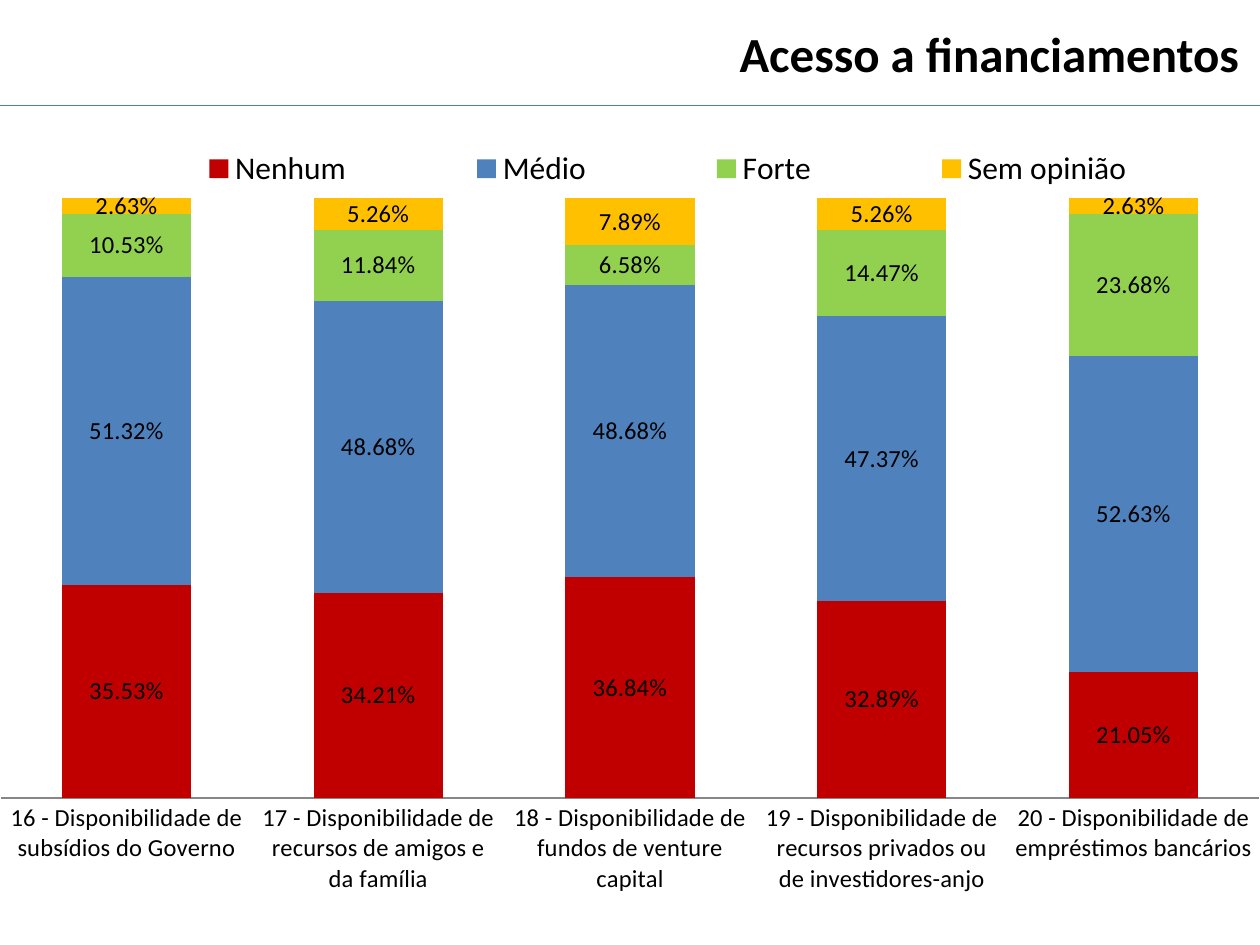
"""Build the slide on access to financing with a 100% stacked column chart."""
from pptx import Presentation, util as u
from pptx.chart.data import CategoryChartData
from pptx.dml.color import RGBColor
from pptx.enum import chart as ch, shapes, text
from pptx.oxml import parse_xml
from pptx.oxml.ns import nsdecls, qn

THEME = {
    "font": "Calibri",
    "text": RGBColor.from_string("000000"),
    "rule": RGBColor.from_string("4B7EBC"),
    "axis": RGBColor.from_string("868686"),
    "title": u.Pt(28),
    "legend": u.Pt(18),
    "label": u.Pt(14),
    "base": u.Pt(10),
}
CATEGORIES = [
    "16 - Disponibilidade de subsídios do Governo",
    "17 - Disponibilidade de recursos de amigos e da família",
    "18 - Disponibilidade de fundos de venture capital",
    "19 - Disponibilidade de recursos privados ou de investidores-anjo",
    "20 - Disponibilidade de empréstimos bancários",
]
SERIES = [
    ("Nenhum", "C00000", (0.3553, 0.3421, 0.3684, 0.3289, 0.2105)),
    ("Médio", "4F81BD", (0.5132, 0.4868, 0.4868, 0.4737, 0.5263)),
    ("Forte", "92D050", (0.1053, 0.1184, 0.0658, 0.1447, 0.2368)),
    ("Sem opinião", "FFC000", (0.0263, 0.0526, 0.0789, 0.0526, 0.0263)),
]


def style(font, size, bold=False):
    """Apply the theme font at one of its sizes."""
    values = {"name": THEME["font"], "size": THEME[size], "bold": bold}
    for key, value in values.items():
        setattr(font, key, value)
    font.color.rgb = THEME["text"]


def layout(x, y, w, h, inner=False):
    """Return a manual chart layout in fractions of the chart area."""
    target = '<c:layoutTarget val="inner"/>' if inner else ""
    modes = "".join(f'<c:{k}Mode val="edge"/>' for k in "xy")
    sizes = "".join(f'<c:{k} val="{v}"/>' for k, v in zip("xywh", (x, y, w, h)))
    return parse_xml(f'<c:layout {nsdecls("c")}><c:manualLayout>{target}{modes}{sizes}'
                     "</c:manualLayout></c:layout>")


prs = Presentation()
prs.slide_width, prs.slide_height = u.Inches(10), u.Inches(7.5)
s = prs.slides.add_slide(prs.slide_layouts[6])

sp = s.shapes.add_textbox(u.Inches(1.14), u.Inches(0.19), u.Inches(8.79), u.Inches(0.46))
tf = sp.text_frame
for key, value in {"word_wrap": True, "vertical_anchor": text.MSO_ANCHOR.MIDDLE}.items():
    setattr(tf, key, value)
p = tf.paragraphs[0]
p.alignment = text.PP_ALIGN.RIGHT
r = p.add_run()
r.text = "Acesso a financiamentos"
style(r.font, "title", True)

rule = s.shapes.add_connector(shapes.MSO_CONNECTOR.STRAIGHT, u.Inches(0), u.Inches(0.84),
                              u.Inches(10), u.Inches(0.84))
rule.line.color.rgb = THEME["rule"]
rule.line.width = u.Pt(0.75)
rule._element.spPr.append(parse_xml(f'<a:effectLst {nsdecls("a")}/>'))

data = CategoryChartData(number_format="0.00%")
data.categories = CATEGORIES
for name, _, values in SERIES:
    data.add_series(name, values)
chart = s.shapes.add_chart(ch.XL_CHART_TYPE.COLUMN_STACKED_100, u.Inches(0), u.Inches(0.84),
                           u.Inches(10), u.Inches(6.66), data).chart
chart.has_title = False
style(chart.font, "base")

chart.has_legend = True
legend = chart.legend
legend.position = ch.XL_LEGEND_POSITION.TOP
legend.include_in_layout = False
style(legend.font, "legend")

axis = chart.category_axis
axis.major_tick_mark = ch.XL_TICK_MARK.NONE
axis.format.line.color.rgb = THEME["axis"]
style(axis.tick_labels.font, "label")
chart.value_axis.has_major_gridlines = False
chart.value_axis.visible = False

plot = chart.plots[0]
for key, value in {"gap_width": 95, "overlap": 100, "vary_by_categories": False}.items():
    setattr(plot, key, value)
for series, (_, color, _) in zip(plot.series, SERIES):
    series.format.fill.solid()
    series.format.fill.fore_color.rgb = RGBColor.from_string(color)
    labels = series.data_labels
    formats = {"show_value": True, "number_format": "0.00%", "number_format_is_linked": False}
    for key, value in formats.items():
        setattr(labels, key, value)
    style(labels.font, "label")

area = chart._chartSpace.chart.plotArea
for old in (*area.findall(qn("c:layout")), *legend._element.findall(qn("c:layout"))):
    old.getparent().remove(old)
area.insert(0, layout(0, 0.11, 1, 0.715, True))
legend._element.find(qn("c:legendPos")).addnext(layout(0.07, 0.04, 0.92, 0.07))

prs.save("out.pptx")
